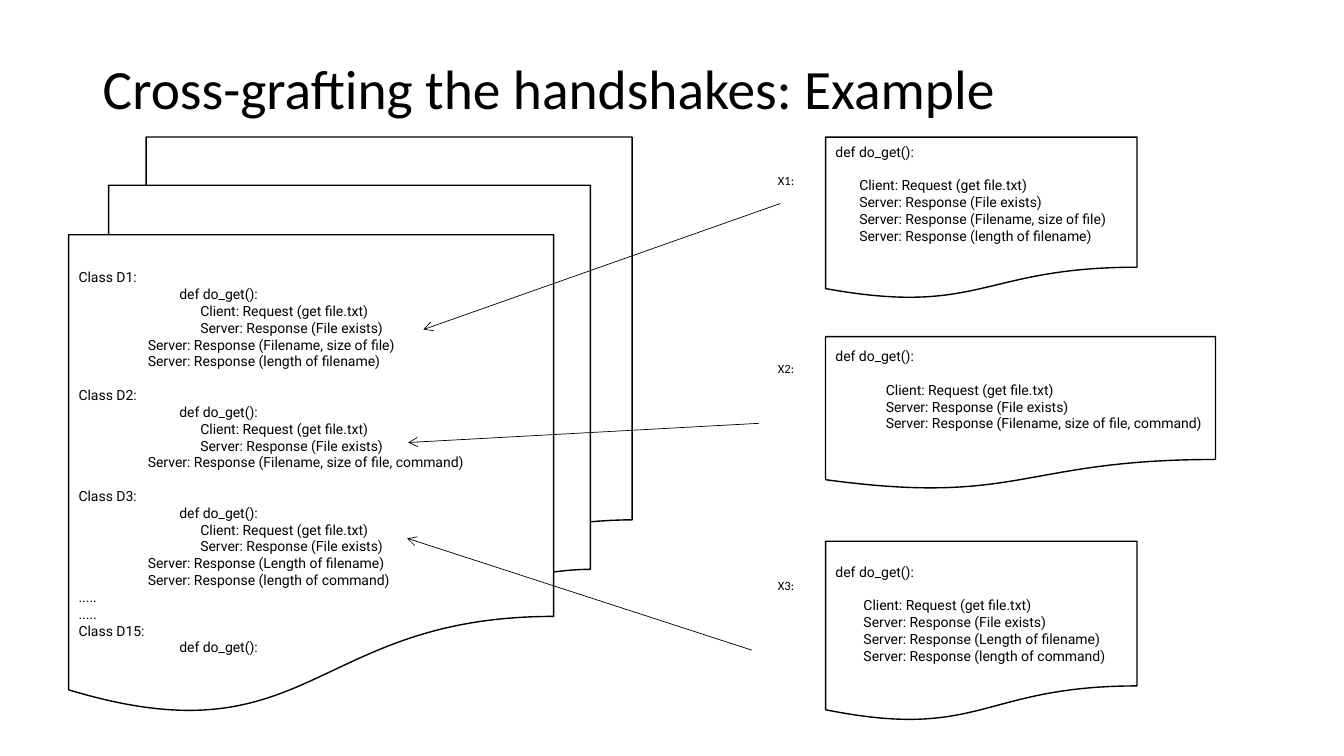
from lxml import etree
from pptx import Presentation
from pptx import util as u
from pptx.dml import color
from pptx.enum import shapes, text
from pptx.oxml import ns

LINE_HEIGHT = 12
CALL = "def do_get():"
OPENING = ["Client: Request (get file.txt)", "Server: Response (File exists)"]
REPLIES = [
    ["Server: Response (Filename, size of file)", "Server: Response (length of filename)"],
    ["Server: Response (Filename, size of file, command)"],
    ["Server: Response (Length of filename)", "Server: Response (length of command)"],
]
CARDS = [
    (97.9, 222.5, 115.9, 17, 1, 120.2),
    (240.5, 278.6, 109.4, 36, 1, 254.2),
    (386.6, 222.5, 128.9, 20, 0, 409),
]
ARROWS = [
    (557.3, 145.4, 302.4, 235.4),
    (542.2, 302.4, 291.6, 316.1),
    (537.1, 464.4, 290.9, 384.5),
]


def rgb(value):
    return color.RGBColor.from_string(value)


class HandshakeSlide:
    """Draws styled elements on one title-only slide, with lengths in points."""

    ink, paper = "000000", "FFFFFF"
    code_font, label_font = "Roboto", "Calibri"

    def __init__(self, deck):
        self.page = deck.slides.add_slide(deck.slide_layouts[5])

    def style(self, para, font, size):
        para.alignment = text.PP_ALIGN.LEFT
        para.font.name, para.font.size = font, u.Pt(size)
        para.font.color.rgb = rgb(self.ink)

    def title(self, words, left, top, width, height):
        box = self.page.shapes.title
        box.left, box.top, box.width, box.height = map(u.Pt, (left, top, width, height))
        frame = box.text_frame
        frame.text = words
        frame.auto_size = text.MSO_AUTO_SIZE.NONE
        frame.vertical_anchor = text.MSO_ANCHOR.MIDDLE
        para = frame.paragraphs[0]
        self.style(para, self.label_font, 39.6)
        para.line_spacing = 0.9

    def document(self, kind, left, top, width, height, blocks, spare_lines=0):
        box = self.page.shapes.add_shape(kind, *map(u.Pt, (left, top, width, height)))
        box.shadow.inherit = False
        box.fill.solid()
        box.fill.fore_color.rgb = rgb(self.paper)
        box.line.color.rgb = rgb(self.ink)
        box.line.width = u.Pt(1)
        frame = box.text_frame
        frame.word_wrap = True
        frame.vertical_anchor = text.MSO_ANCHOR.MIDDLE
        frame.margin_bottom = u.Pt(3.6 + spare_lines * LINE_HEIGHT)
        para = None
        for block in blocks:
            for row, (indent, words) in enumerate(block):
                first = para is None
                para = frame.paragraphs[0] if first else frame.add_paragraph()
                para.text = words
                self.style(para, self.code_font, 10)
                para._p.get_or_add_pPr().set("marL", str(u.Pt(indent)))
                if row == 0 and not first:
                    para.space_before = u.Pt(LINE_HEIGHT)

    def label(self, words, left, top):
        box = self.page.shapes.add_textbox(*map(u.Pt, (left, top, 33, 18)))
        frame = box.text_frame
        frame.word_wrap = True
        frame.text = words
        self.style(frame.paragraphs[0], self.label_font, 9)

    def arrow(self, *ends):
        line = self.page.shapes.add_connector(shapes.MSO_CONNECTOR.STRAIGHT, *map(u.Pt, ends))
        line.line.color.rgb = rgb(self.ink)
        line.line.width = u.Pt(0.5)
        etree.SubElement(line.line._get_or_add_ln(), ns.qn("a:tailEnd"), type="arrow")
        etree.SubElement(line._element.spPr, ns.qn("a:effectLst"))


def class_blocks():
    blocks = []
    for number, replies in enumerate(REPLIES, 1):
        block = [(0, f"Class D{number}:"), (72, CALL)]
        block += [(87, words) for words in OPENING]
        block += [(49.5, words) for words in replies]
        blocks.append(block)
    blocks[-1] += [(0, "....."), (0, "....."), (0, "Class D15:"), (72, CALL)]
    return blocks


def main():
    deck = Presentation()
    deck.slide_width, deck.slide_height = u.Pt(960), u.Pt(540)
    slide = HandshakeSlide(deck)
    kinds = shapes.MSO_SHAPE
    slide.title("Cross-grafting the handshakes: Example", 66.2, 13, 828, 104.4)
    slide.document(kinds.FLOWCHART_MULTIDOCUMENT, 49, 97.9, 402.5, 410.4, class_blocks())
    for number, (card, replies) in enumerate(zip(CARDS, REPLIES), 1):
        top, width, height, indent, spare_lines, label_top = card
        steps = [(indent, words) for words in OPENING + replies]
        slide.document(kinds.FLOWCHART_DOCUMENT, 589.7, top, width, height,
                       [[(0, CALL)], steps], spare_lines)
        slide.label(f"X{number}:", 548.6, label_top)
    for ends in ARROWS:
        slide.arrow(*ends)
    deck.save("out.pptx")


if __name__ == "__main__":
    main()
